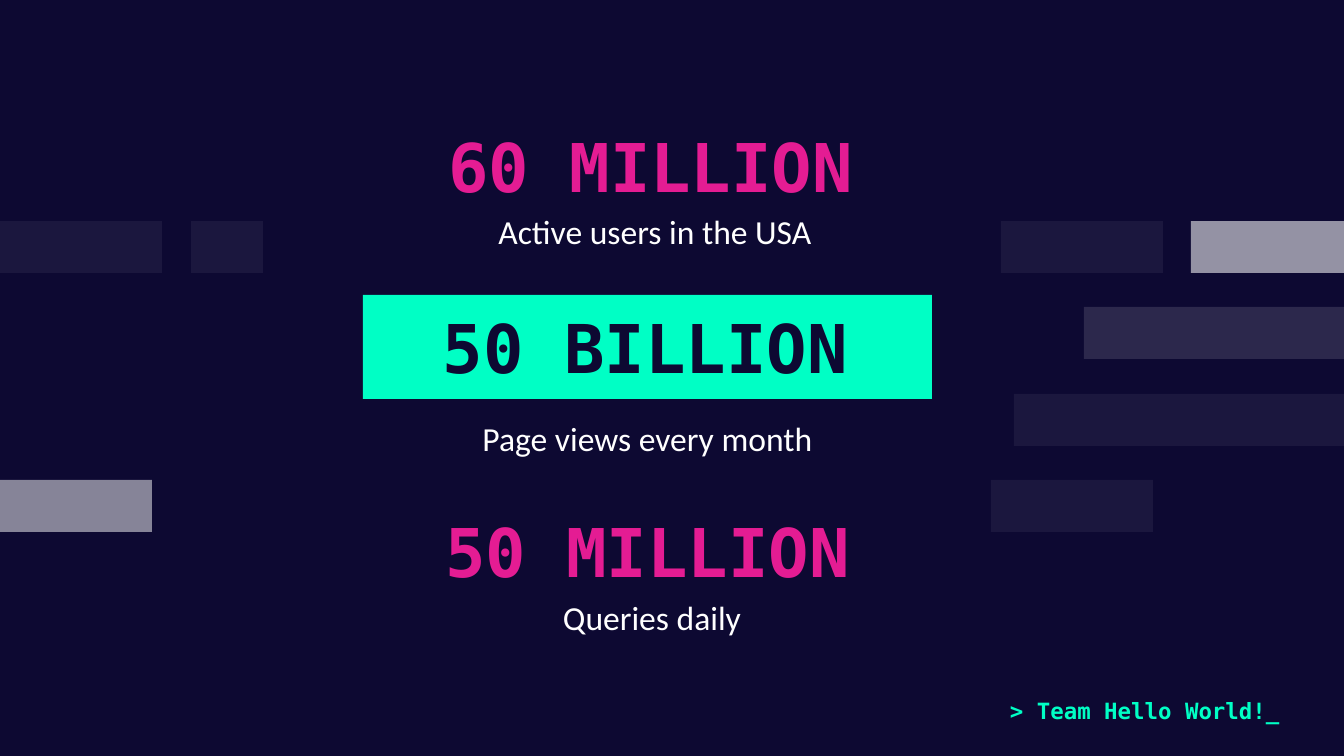
from dataclasses import dataclass

import lxml.etree
import pptx
import pptx.dml.color
import pptx.enum.shapes
import pptx.enum.text
import pptx.oxml.ns
import pptx.util
from pptx.shapes.base import BaseShape
from pptx.slide import Slide

EMU_PER_PX = 914400 / 134.4
SLIDE_WIDTH, SLIDE_HEIGHT = 1344, 756
INSET = 13
BAR_TOP, BAR_HEIGHT = 221, 52
TWO_ROW_PITCH = 173

NAVY, PINK, MINT, WHITE = "0D0932", "E41C93", "00FFC5", "FFFFFF"
MONO, SANS = "DejaVu Sans Mono", "Calibri"
CENTER = pptx.enum.text.PP_ALIGN.CENTER
LEFT = pptx.enum.text.PP_ALIGN.LEFT
RECTANGLE = pptx.enum.shapes.MSO_SHAPE.RECTANGLE


@dataclass(frozen=True)
class Box:
    left: int
    top: int
    width: int
    height: int


@dataclass(frozen=True)
class Bar:
    left: int
    right: int
    row: int
    opacity: int


@dataclass(frozen=True)
class Figure:
    text: str
    box: Box
    fill: str = NAVY
    color: str = PINK
    indent: int = 0


@dataclass(frozen=True)
class Caption:
    text: str
    box: Box


BARS = [
    Bar(1084, 1344, 1, 13),
    Bar(1001, 1163, 0, 6),
    Bar(1014, 1344, 2, 6),
    Bar(1191, 1344, 0, 56),
    Bar(991, 1153, 3, 6),
    Bar(0, 152, 3, 50),
    Bar(0, 162, 0, 6),
    Bar(191, 263, 0, 6),
]
TITLE = Figure("60 MILLION", Box(398, 132, 505, 67))
OTHER_FIGURES = [
    Figure("50 BILLION", Box(363, 295, 569, 104), MINT, NAVY, indent=67),
    Figure("50 MILLION", Box(395, 517, 505, 67)),
]
CAPTIONS = [
    Caption("Active users in the USA", Box(391, 211, 528, 67)),
    Caption("Page views every month", Box(395, 418, 505, 67)),
    Caption("Queries daily", Box(388, 597, 528, 67)),
]
TEAM = Caption("> Team Hello World!_", Box(997, 697, 316, 35))


def px(length: int) -> pptx.util.Emu:
    return pptx.util.Emu(round(length * EMU_PER_PX))


def rgb(color: str) -> pptx.dml.color.RGBColor:
    return pptx.dml.color.RGBColor.from_string(color)


def edges(box: Box) -> list[pptx.util.Emu]:
    return [px(box.left), px(box.top), px(box.width), px(box.height)]


def fill_solid(shape: BaseShape, color: str) -> None:
    shape.fill.solid()
    shape.fill.fore_color.rgb = rgb(color)


def add_rectangle(slide: Slide, box: Box, color: str) -> BaseShape:
    shape = slide.shapes.add_shape(RECTANGLE, *edges(box))
    shape.shadow.inherit = False
    fill_solid(shape, color)
    shape.line.fill.background()
    return shape


def add_bar(slide: Slide, bar: Bar) -> None:
    top = BAR_TOP + bar.row * TWO_ROW_PITCH // 2
    shape = add_rectangle(slide, Box(bar.left, top, bar.right - bar.left, BAR_HEIGHT), WHITE)
    color = shape.fill._xPr.find(".//" + pptx.oxml.ns.qn("a:srgbClr"))
    alpha = lxml.etree.SubElement(color, pptx.oxml.ns.qn("a:alpha"))
    alpha.set("val", str(bar.opacity * 1000))


def write_text(shape: BaseShape, text: str, font: str, size: int, color: str,
               bold: bool, alignment: pptx.enum.text.PP_ALIGN,
               anchor: pptx.enum.text.MSO_ANCHOR, top_inset: int = 0) -> None:
    frame = shape.text_frame
    frame.word_wrap = True
    frame.auto_size = pptx.enum.text.MSO_AUTO_SIZE.NONE
    frame.vertical_anchor = anchor
    frame.margin_left = frame.margin_right = frame.margin_bottom = px(INSET)
    frame.margin_top = px(top_inset)
    frame.text = text
    paragraph = frame.paragraphs[0]
    paragraph.alignment = alignment
    paragraph.font.name = font
    paragraph.font.size = pptx.util.Pt(size)
    paragraph.font.bold = bold
    paragraph.font.color.rgb = rgb(color)


def format_figure(shape: BaseShape, figure: Figure) -> None:
    alignment = LEFT if figure.indent else CENTER
    write_text(shape, figure.text, MONO, 36, figure.color, True, alignment,
               pptx.enum.text.MSO_ANCHOR.MIDDLE, INSET)
    if figure.indent:
        properties = shape.text_frame.paragraphs[0]._p.get_or_add_pPr()
        properties.set("marL", str(px(figure.indent)))


def place_title(slide: Slide, figure: Figure) -> None:
    title = slide.shapes.title
    title.left, title.top, title.width, title.height = edges(figure.box)
    fill_solid(title, figure.fill)
    format_figure(title, figure)


def add_caption(slide: Slide, caption: Caption, font: str, size: int, color: str,
                bold: bool, alignment: pptx.enum.text.PP_ALIGN) -> None:
    shape = slide.shapes.add_textbox(*edges(caption.box))
    write_text(shape, caption.text, font, size, color, bold, alignment,
               pptx.enum.text.MSO_ANCHOR.TOP)


def main() -> None:
    presentation = pptx.Presentation()
    presentation.slide_width = px(SLIDE_WIDTH)
    presentation.slide_height = px(SLIDE_HEIGHT)
    slide = presentation.slides.add_slide(presentation.slide_layouts.get_by_name("Title Only"))
    slide.background.fill.solid()
    slide.background.fill.fore_color.rgb = rgb(NAVY)

    for bar in BARS:
        add_bar(slide, bar)
    place_title(slide, TITLE)
    for figure in OTHER_FIGURES:
        format_figure(add_rectangle(slide, figure.box, figure.fill), figure)
    for caption in CAPTIONS:
        add_caption(slide, caption, SANS, 18, WHITE, False, CENTER)
    add_caption(slide, TEAM, MONO, 12, MINT, True, LEFT)
    presentation.save("out.pptx")


if __name__ == "__main__":
    main()
